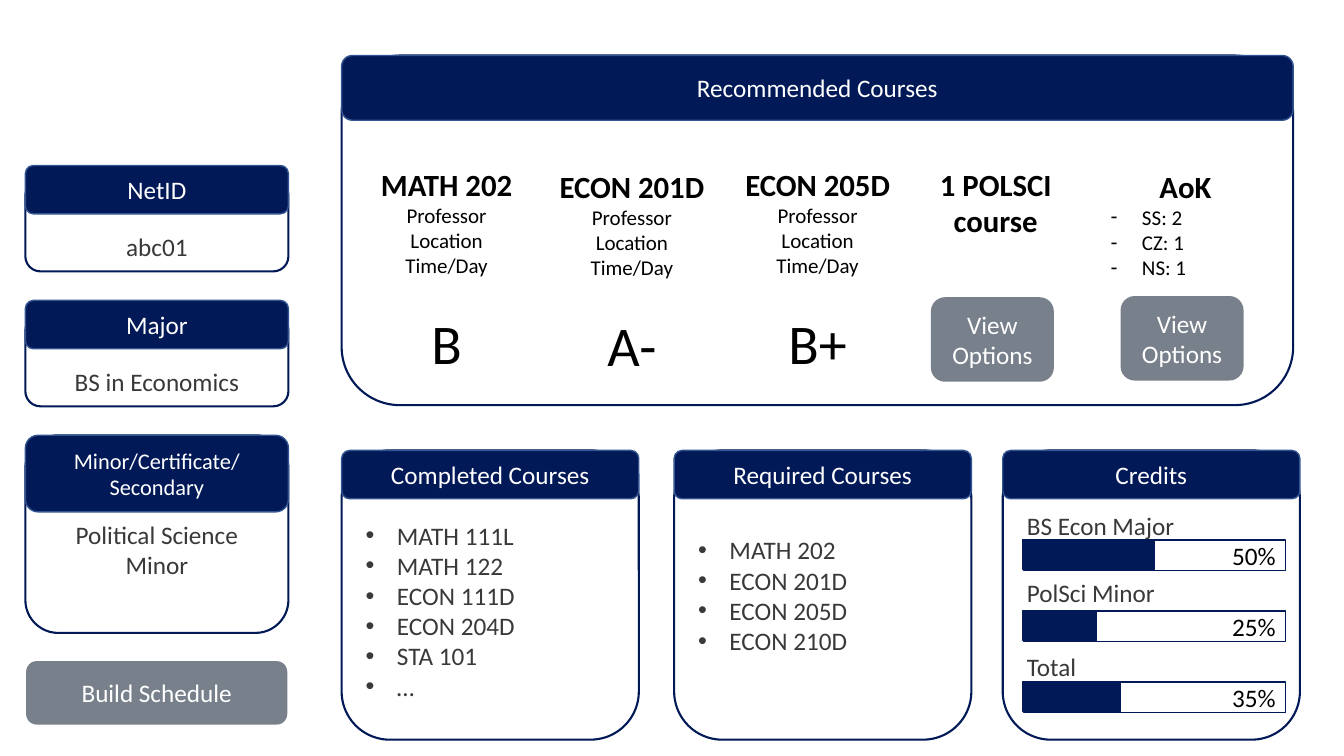
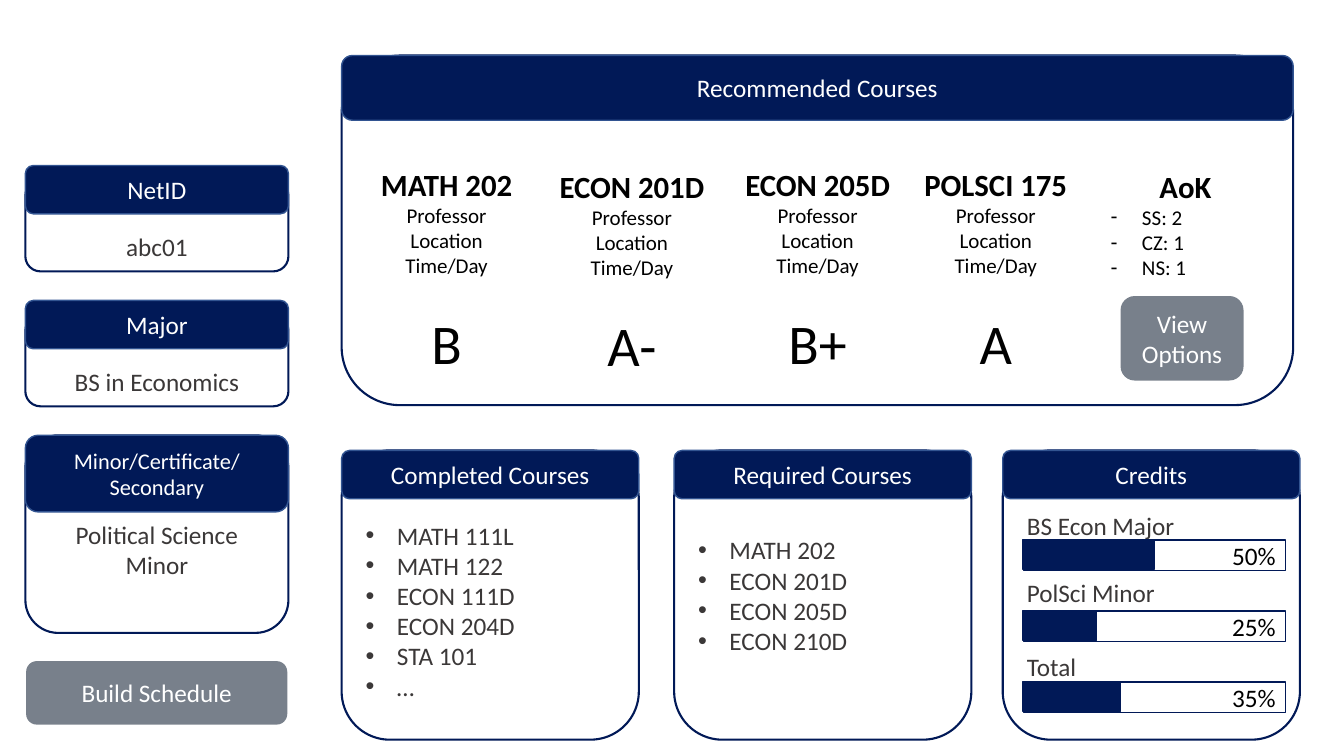
from pptx import Presentation
from pptx.dml.color import RGBColor
from pptx.enum.shapes import MSO_SHAPE
from pptx.enum.text import MSO_ANCHOR, MSO_AUTO_SIZE, PP_ALIGN
from pptx.oxml.ns import qn
from pptx.util import Cm, Pt
from lxml.etree import SubElement

FONT = "Calibri"
NAVY, EDGE, SLATE = "011957", "325491", "333F50"
WHITE, BLACK, GREY = "FFFFFF", "000000", "3B3838"
LEFT, CENTER, RIGHT = PP_ALIGN.LEFT, PP_ALIGN.CENTER, PP_ALIGN.RIGHT
TOP, MIDDLE, BOTTOM = MSO_ANCHOR.TOP, MSO_ANCHOR.MIDDLE, MSO_ANCHOR.BOTTOM

SIDE_X, SIDE_Y, SIDE_W, SIDE_PITCH = 0.64, 4.17, 6.63, 3.4
PROFILE = [
    ("NetID", "abc01"),
    ("Major", "BS in Economics"),
]
MINOR = ("Minor/Certificate/\nSecondary", "Political Science Minor")

MAIN_X, MAIN_Y, MAIN_W, MAIN_H = 8.61, 1.4, 23.98, 8.81
LOWER_Y, LOWER_W, LOWER_H, HEAD_H = 11.35, 7.49, 7.29, 1.22
LISTS = [
    ("Completed Courses", 8.61, 0.39,
     ["MATH 111L", "MATH 122", "ECON 111D", "ECON 204D", "STA 101", "…"]),
    ("Required Courses", 16.99, 0,
     ["MATH 202", "ECON 201D", "ECON 205D", "ECON 210D"]),
]
CREDITS_X = 25.27
CREDITS = [
    ("BS Econ Major", "50%", 12.85, 3.3),
    ("PolSci Minor", "25%", 14.55, 1.85),
    ("Total", "35%", 16.42, 2.46),
]
BAR_X, BAR_Y, BAR_W, BAR_H, BAR_PITCH = 25.8, 13.61, 6.6, 0.76, 1.79

COURSE_W = 4.27
DETAILS = ["Professor", "Location", "Time/Day"]
COURSES = [
    (9.12, 4.04, "MATH 202", "B"),
    (13.79, 4.09, "ECON 201D", "A-"),
    (18.47, 4.04, "ECON 205D", "B+"),
]
AOK = (27.74, 4.09, "AoK", ["SS: 2", "CZ: 1", "NS: 1"])
FOURTH = [
    (22.96, 4.04, "1 POLSCI course", None),
    (22.96, 4.04, "POLSCI 175", "A"),
]


def rgb(color):
    return RGBColor.from_string(color)


def write(p, text, size, color, align=LEFT, bold=False, before=0):
    p.alignment = align
    p.space_before = Pt(before)
    for i, line in enumerate(text.split("\n")):
        if i:
            p.add_line_break()
        r = p.add_run()
        r.text = line
        r.font.name = FONT
        r.font.size = Pt(size)
        r.font.bold = bold
        r.font.color.rgb = rgb(color)


def bullet(p, char):
    pPr = p._p.get_or_add_pPr()
    pPr.set("marL", str(Cm(0.79)))
    pPr.set("indent", str(-Cm(0.79)))
    SubElement(pPr, qn("a:buFont")).set("typeface", "Arial")
    SubElement(pPr, qn("a:buChar")).set("char", char)


def next_paragraph(tf):
    return tf.add_paragraph() if tf.paragraphs[0].runs else tf.paragraphs[0]


def box(slide, kind, x, y, w, h, fill, line=None, weight=1.0):
    sp = slide.shapes.add_shape(kind, Cm(x), Cm(y), Cm(w), Cm(h))
    sp.shadow.inherit = False
    sp.fill.solid()
    sp.fill.fore_color.rgb = rgb(fill)
    if line:
        sp.line.color.rgb = rgb(line)
        sp.line.width = Pt(weight)
    else:
        sp.line.fill.background()
    sp.text_frame.word_wrap = True
    return sp


def label(sp, text, size=18, color=WHITE, align=CENTER, anchor=MIDDLE):
    tf = sp.text_frame
    tf.vertical_anchor = anchor
    write(tf.paragraphs[0], text, size, color, align)


def textbox(slide, x, y, w, h):
    tf = slide.shapes.add_textbox(Cm(x), Cm(y), Cm(w), Cm(h)).text_frame
    tf.word_wrap = True
    return tf


def card(slide, x, y, w, h, head_h, drop=0):
    body = box(slide, MSO_SHAPE.ROUNDED_RECTANGLE, x, y + drop, w, h, WHITE, NAVY, 1.5)
    head = box(slide, MSO_SHAPE.ROUNDED_RECTANGLE, x, y, w, head_h, NAVY, EDGE)
    return body, head


def button(slide, text, x, y, w, h):
    sp = box(slide, MSO_SHAPE.ROUNDED_RECTANGLE, x, y, w, h, SLATE)
    color = sp.fill._xPr.find(qn("a:solidFill"))[0]
    SubElement(color, qn("a:alpha")).set("val", "66000")
    label(sp, text)


def place(ph, x, y, w, h):
    ph.left, ph.top, ph.width, ph.height = Cm(x), Cm(y), Cm(w), Cm(h)
    ph._element.getparent().append(ph._element)
    tf = ph.text_frame
    tf.auto_size = MSO_AUTO_SIZE.NONE
    tf.vertical_anchor = MIDDLE
    return tf


def profile(slide):
    for i, (name, value) in enumerate(PROFILE):
        body, head = card(slide, SIDE_X, SIDE_Y + i * SIDE_PITCH, SIDE_W, 2.29, HEAD_H, 0.38)
        label(body, value, color=GREY, anchor=BOTTOM)
        label(head, name)
    y = SIDE_Y + len(PROFILE) * SIDE_PITCH
    body, head = card(slide, SIDE_X, y, SIDE_W, 4.98, 1.93)
    body.text_frame.margin_top = Cm(0.9)
    label(body, MINOR[1], color=GREY)
    label(head, MINOR[0], 16)
    button(slide, "Build Schedule", 0.66, 16.66, 6.58, 1.6)


def course_lists(slide):
    for (name, x, shift, items), ph in zip(LISTS, list(slide.placeholders)[1:]):
        head = card(slide, x, LOWER_Y, LOWER_W, LOWER_H, HEAD_H)[1]
        label(head, name)
        tf = place(ph, x + 0.35, LOWER_Y + shift, LOWER_W - 0.7, LOWER_H)
        for item in items:
            p = next_paragraph(tf)
            write(p, item, 18, GREY)
            bullet(p, "•")


def credits_card(slide):
    head = card(slide, CREDITS_X, LOWER_Y, LOWER_W, LOWER_H, HEAD_H)[1]
    label(head, "Credits")
    for i, (name, share, name_y, done) in enumerate(CREDITS):
        tf = textbox(slide, BAR_X + 0.08, name_y, BAR_W, BAR_H)
        tf.margin_left = tf.margin_top = tf.margin_bottom = 0
        write(tf.paragraphs[0], name, 18, GREY)
        y = BAR_Y + i * BAR_PITCH
        track = box(slide, MSO_SHAPE.RECTANGLE, BAR_X, y, BAR_W, BAR_H, WHITE, NAVY)
        label(track, share, color=BLACK, align=RIGHT)
        box(slide, MSO_SHAPE.RECTANGLE, BAR_X - 0.02, y - 0.02, done, BAR_H, NAVY, NAVY)


def course(slide, x, y, name, grade):
    tf = textbox(slide, x, y, COURSE_W, 5.59 if grade else 2.13)
    write(tf.paragraphs[0], name, 22, BLACK, CENTER, True)
    if grade:
        for detail in DETAILS:
            write(tf.add_paragraph(), detail, 15, BLACK, CENTER)
        write(tf.add_paragraph(), grade, 40, BLACK, CENTER, before=22)
    else:
        options_button(slide, x, 7.49)


def options_button(slide, x, y):
    button(slide, "View\nOptions", x + 0.5, y, 3.1, 2.13)


def recommended(slide, fourth):
    card(slide, MAIN_X, MAIN_Y, MAIN_W, MAIN_H, 1.63)
    tf = place(slide.shapes.title, MAIN_X, MAIN_Y, MAIN_W, 1.63)
    write(tf.paragraphs[0], "Recommended Courses", 18, WHITE, CENTER)
    for entry in COURSES + [fourth]:
        course(slide, *entry)
    x, y, name, areas = AOK
    tf = textbox(slide, x, y, COURSE_W, 3.12)
    write(tf.paragraphs[0], name, 22, BLACK, CENTER, True)
    for area in areas:
        p = tf.add_paragraph()
        write(p, area, 15, BLACK)
        bullet(p, "-")
    options_button(slide, x, 7.46)


def main():
    prs = Presentation()
    prs.slide_width, prs.slide_height = Cm(33.87), Cm(19.05)
    for fourth in FOURTH:
        slide = prs.slides.add_slide(prs.slide_layouts[3])
        profile(slide)
        recommended(slide, fourth)
        course_lists(slide)
        credits_card(slide)
    prs.save("out.pptx")


if __name__ == "__main__":
    main()
